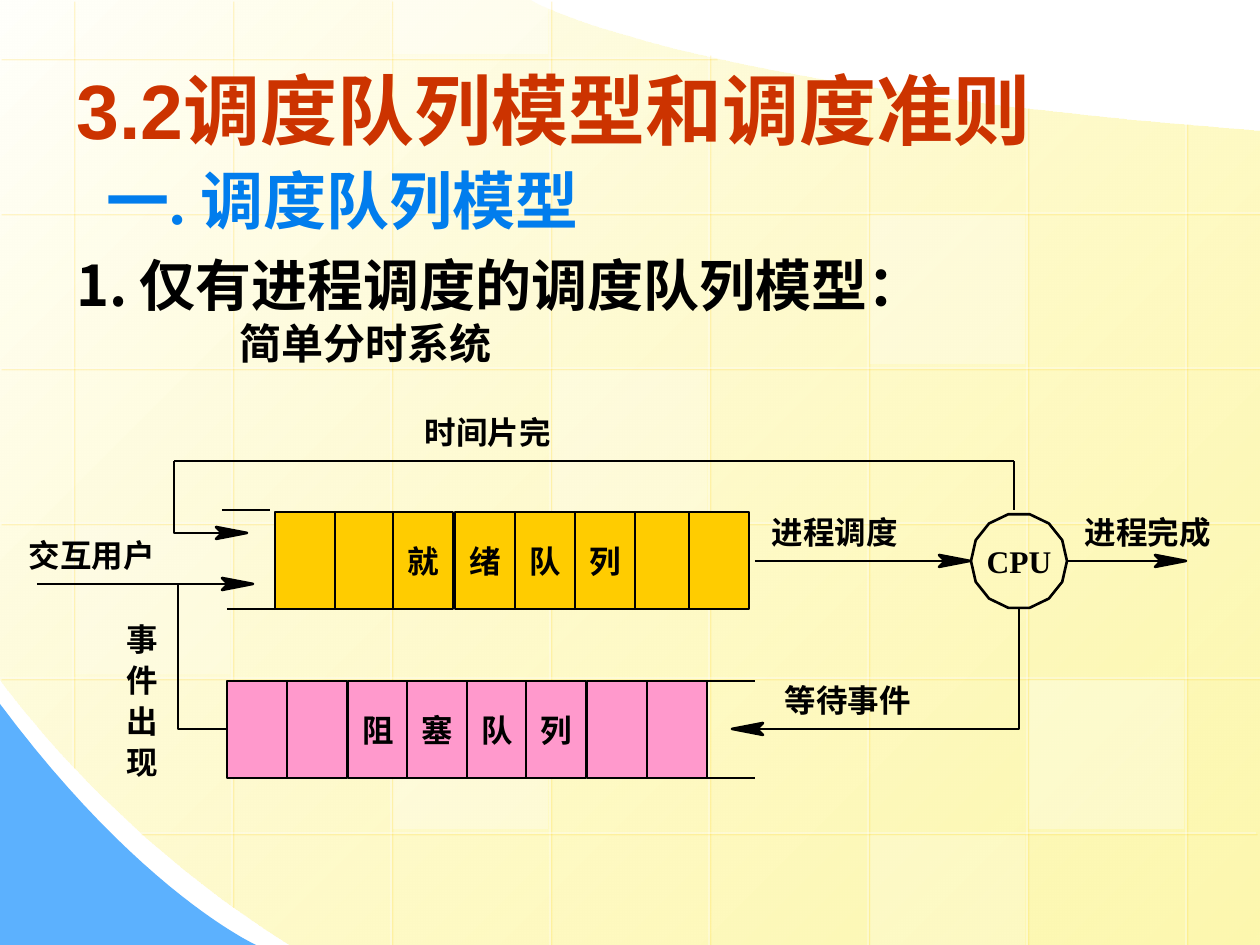
import math
from typing import NamedTuple, Optional

import lxml.etree
import pptx
import pptx.dml.color
import pptx.enum.shapes
import pptx.enum.text
import pptx.oxml.ns
import pptx.util

W, H = 1260, 945
CJK = "Noto Sans CJK SC"
TIMES = "Times New Roman"
BLACK = "000000"
ALIGN = pptx.enum.text.PP_ALIGN
ANCHOR = pptx.enum.text.MSO_ANCHOR


class Queue(NamedTuple):
    lefts: tuple
    top: int
    color: str
    letters: str


class Label(NamedTuple):
    x: int
    y: int
    text: str


class Line(NamedTuple):
    x1: int
    y1: int
    x2: int
    y2: int


class Head(NamedTuple):
    x: int
    y: int
    direction: int


QUEUES = [
    Queue((275, 335, 393, 455, 515, 575, 635, 689), 512, "FFCC00", "  就绪队列  "),
    Queue((227, 287, 348, 407, 467, 526, 587, 647), 681, "FF99CC", "  阻塞队列  "),
]
LABELS = [
    Label(772, 513, "进程调度"), Label(1085, 513, "进程完成"),
    Label(785, 681, "等待事件"), Label(425, 413, "时间片完"),
    Label(29, 536, "交互用户"),
] + [Label(127, 620 + 41 * i, c) for i, c in enumerate("事件出现")]
LINES = [
    Line(227, 609, 275, 609), Line(755, 561, 970, 561), Line(1067, 561, 1186, 561),
    Line(706, 681, 755, 681), Line(706, 778, 755, 778), Line(222, 510, 270, 510),
    Line(1014, 461, 1014, 510), Line(174, 461, 1014, 461), Line(37, 584, 253, 584),
]
POLYLINES = [
    [(1019, 609), (1019, 729), (732, 729)],
    [(178, 584), (178, 729), (227, 729)],
    [(174, 461), (174, 533), (222, 533)],
]
HEADS = [Head(970, 561, 1), Head(1186, 561, 1), Head(732, 729, -1),
         Head(247, 533, 1), Head(253, 584, 1)]


def px(n: float) -> pptx.util.Emu:
    return pptx.util.Emu(round(n * 914400 / 126))


def rgb(color: str) -> pptx.dml.color.RGBColor:
    return pptx.dml.color.RGBColor.from_string(color)


def add_xml(parent, tag: str, **attrs):
    child = lxml.etree.SubElement(parent, pptx.oxml.ns.qn(tag))
    for name, value in attrs.items():
        child.set(name, str(value))
    return child


def set_alpha(parent, percent: int) -> None:
    for clr in parent.iter(pptx.oxml.ns.qn("a:srgbClr")):
        add_xml(clr, "a:alpha", val=percent * 1000)


def paint(sp, fill: Optional[str], line: Optional[str] = BLACK) -> None:
    sp.shadow.inherit = False
    if fill:
        sp.fill.solid()
        sp.fill.fore_color.rgb = rgb(fill)
    else:
        sp.fill.background()
    if line:
        sp.line.color.rgb = rgb(line)
        sp.line.width = pptx.util.Pt(1.5)
    else:
        sp.line.fill.background()


def add_run(p, text: str, size: int, font: str, color: str = BLACK) -> None:
    r = p.add_run()
    r.text = text
    r.font.size, r.font.bold, r.font.name = pptx.util.Pt(size), True, font
    r.font.color.rgb = rgb(color)
    add_xml(r.font._element, "a:ea", typeface=CJK)


def add_polygon(s, points, fill: Optional[str], line: Optional[str] = BLACK, close: bool = True):
    pts = [(px(x), px(y)) for x, y in points]
    builder = s.shapes.build_freeform(*pts[0])
    builder.add_line_segments(pts[1:], close=close)
    sp = builder.convert_to_shape()
    paint(sp, fill, line)
    return sp


def add_rect(s, x: int, y: int, w: int, h: int, fill: str, line: Optional[str] = BLACK):
    sp = s.shapes.add_shape(pptx.enum.shapes.MSO_SHAPE.RECTANGLE, px(x), px(y), px(w), px(h))
    paint(sp, fill, line)
    return sp


def add_line(s, line: Line, grid: bool = False) -> None:
    """Draw a black line, or a faint white grid line with a golden shadow."""
    cx = s.shapes.add_connector(pptx.enum.shapes.MSO_CONNECTOR.STRAIGHT, *map(px, line))
    cx.line.color.rgb = rgb("FFFFFF" if grid else BLACK)
    cx.line.width = pptx.util.Pt(0.75 if grid else 1.5)
    sp_pr = cx._element.spPr
    if grid:
        set_alpha(sp_pr, 50)
    effects = add_xml(sp_pr, "a:effectLst")
    if grid:
        shadow = add_xml(effects, "a:outerShdw", dist=17961, dir=2700000, algn="ctr", rotWithShape=0)
        add_xml(shadow, "a:srgbClr", val="FFCC00")
        set_alpha(shadow, 34)


def bezier(p0, p1, p2, p3, steps: int = 24) -> list:
    def at(t, a, b, c, d):
        u = 1 - t
        return u ** 3 * a + 3 * u * u * t * b + 3 * u * t * t * c + t ** 3 * d
    return [tuple(at(i / steps, *axis) for axis in zip(p0, p1, p2, p3))
            for i in range(steps + 1)]


def add_background(s) -> None:
    page = ([(W, 131), (W, H)] + bezier((290, H), (108, 833), (0, 679), (0, 679))
            + [(0, 0)] + bezier((530, 0), (530, 1), (677, 87), (W, 131)))
    sp = add_polygon(s, page, None, None)
    sp.fill.gradient()
    sp.fill.gradient_angle = 315
    for stop, color in zip(sp.fill.gradient_stops, ("FFFFFB", "FDF58D")):
        stop.color.rgb = rgb(color)
    set_alpha(sp.fill.gradient_stops[1]._gs, 70)
    add_polygon(s, [(0, 704), (0, H)] + bezier((256, H), (256, H), (141, 893), (0, 704)),
                "5CB1FE", None)
    tops, bottoms = (0, 0, 0, 0, 54, 86, 107, 123), (767, 906) + (H,) * 6
    for i, (top, bottom) in enumerate(zip(tops, bottoms)):
        add_line(s, Line(73 + 159 * i, top, 73 + 159 * i, bottom), grid=True)
    spans = [(0, 716)] + [(0, W)] * 4 + [(140, 1256)]
    for i, (left, right) in enumerate(spans):
        add_line(s, Line(left, 58 + 155 * i, right, 58 + 155 * i), grid=True)
    for col, row, alpha in ((3, 2, 25), (6, 4, 30), (0, 3, 20), (5, 5, 20),
                            (2, -1, 40), (2, 4, 30), (5, 1, 30)):
        y = 60 + 155 * row
        top, bottom = max(0, y), min(H, y + 149)
        tile = add_rect(s, 75 + 159 * col, top, 155, bottom - top, "FFFFFF", None)
        set_alpha(tile._element.spPr, alpha)


def add_text_box(s, x: int, y: int, w: int, h: int, wrap: bool = True):
    tf = s.shapes.add_textbox(px(x), px(y), px(w), px(h)).text_frame
    tf.word_wrap = wrap
    return tf


def center_text(sp, text: str, font: str) -> None:
    tf = sp.text_frame
    tf.margin_left = tf.margin_right = tf.margin_top = tf.margin_bottom = 0
    tf.word_wrap, tf.vertical_anchor = False, ANCHOR.MIDDLE
    tf.paragraphs[0].alignment = ALIGN.CENTER
    add_run(tf.paragraphs[0], text, 18, font)


def add_headings(s) -> None:
    title = s.shapes.title
    s.shapes._spTree.append(title._element)  # bring in front of the background
    title.left, title.top, title.width, title.height = map(px, (64, 45, 1134, 127))
    title.text_frame.vertical_anchor = ANCHOR.MIDDLE
    p = title.text_frame.paragraphs[0]
    p.alignment = ALIGN.LEFT
    add_run(p, "3.2调度队列模型和调度准则", 44, "Arial", "CC3300")

    tf = add_text_box(s, 64, 244, 1091, 130)
    p = tf.paragraphs[0]
    p_pr = p._p.get_or_add_pPr()
    p_pr.set("marL", "457200")
    p_pr.set("indent", "-457200")
    add_xml(p_pr, "a:buFont", typeface=TIMES)
    add_xml(p_pr, "a:buAutoNum", type="arabicPeriod")
    add_run(p, "仅有进程调度的调度队列模型：", 32, TIMES)
    p = tf.add_paragraph()
    p._p.get_or_add_pPr().set("marL", str(px(163)))
    add_run(p, "简单分时系统", 24, TIMES)

    tf = add_text_box(s, 94, 155, 1022, 88)
    add_run(tf.paragraphs[0], "一. 调度队列模型", 36, TIMES, "017DED")


def add_diagram(s) -> None:
    for queue in QUEUES:
        for x, letter in zip(queue.lefts, queue.letters):
            cell = add_rect(s, x, queue.top, 60, 97, queue.color)
            if letter.strip():
                center_text(cell, letter, CJK)
    for line in LINES:
        add_line(s, line)
    for points in POLYLINES:
        add_polygon(s, points, None, close=False)
    for x, y, d in HEADS:
        add_polygon(s, [(x, y), (x - 31 * d, y - 6), (x - 25 * d, y), (x - 31 * d, y + 6)], BLACK)
    angles = [2 * math.pi * i / 14 for i in range(14)]
    cpu = add_polygon(s, [(1019 + 48 * math.cos(a), 561 + 48 * math.sin(a)) for a in angles], None)
    center_text(cpu, "CPU", TIMES)
    for x, y, text in LABELS:
        tf = add_text_box(s, x, y, 32 * len(text), 38, wrap=False)
        tf.margin_left = tf.margin_right = tf.margin_top = tf.margin_bottom = 0
        add_run(tf.paragraphs[0], text, 18, CJK)


def main() -> None:
    prs = pptx.Presentation()
    prs.slide_width, prs.slide_height = px(W), px(H)
    s = prs.slides.add_slide(prs.slide_layouts[5])
    add_background(s)
    add_headings(s)
    add_diagram(s)
    prs.save("out.pptx")


if __name__ == "__main__":
    main()
